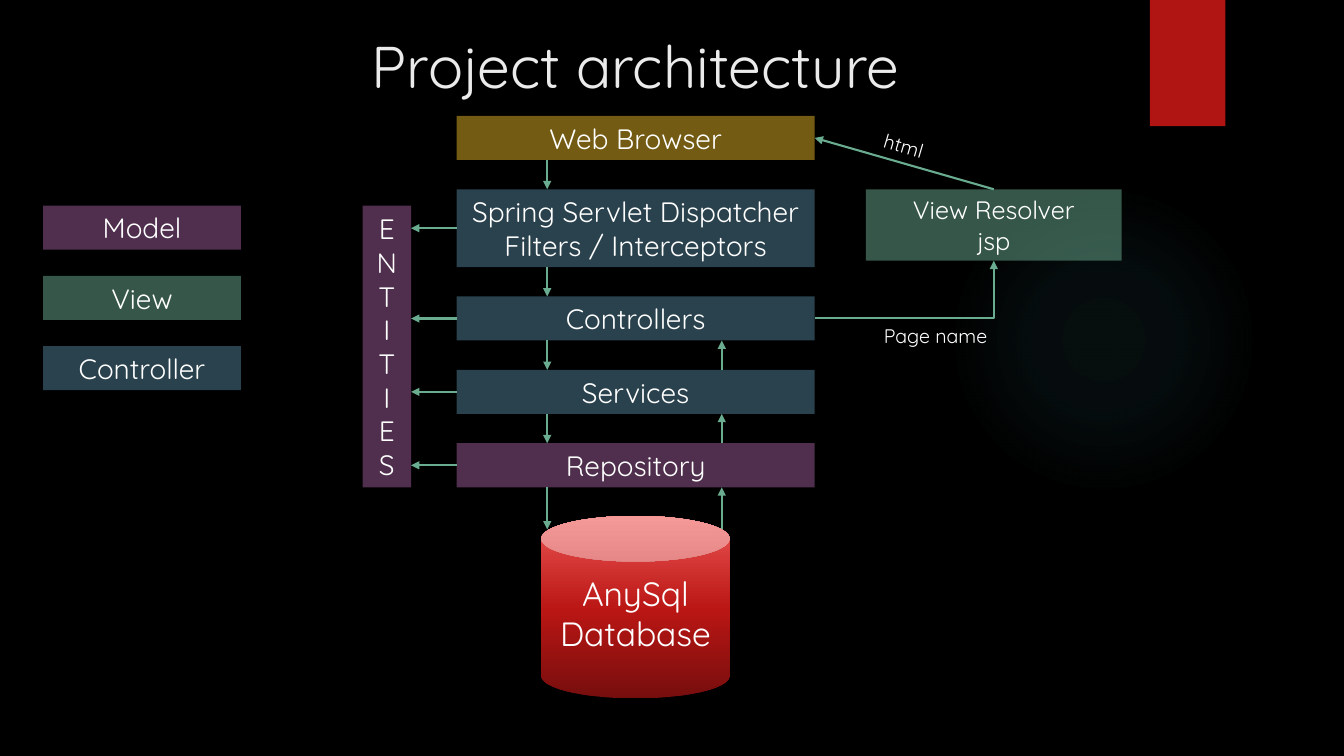
from lxml.etree import SubElement
from pptx import Presentation
from pptx.dml.color import RGBColor
from pptx.enum.shapes import MSO_CONNECTOR, MSO_SHAPE
from pptx.enum.text import MSO_ANCHOR, PP_ALIGN
from pptx.oxml import parse_xml
from pptx.oxml.ns import nsdecls, qn
from pptx.util import Cm, Pt

COLORS = {
    "background": "000000", "title": "EBEBEB", "text": "FFFFFF",
    "browser": "E6B729", "controller": "54849A", "model": "9E5E9B",
    "view": "6AAC90", "arrow": "6AAC90", "tab": "B01513", "glow": "50B9C1",
    "db_dark": "760E0D", "db_mid": "B91614", "db_light": "ED5654",
}
ROW_HEIGHT = 1.11
ROW_GAP = 0.74
LAYERS = [
    ("Web Browser", "browser", ROW_HEIGHT),
    ("Spring Servlet Dispatcher\vFilters / Interceptors", "controller", 1.96),
    ("Controllers", "controller", ROW_HEIGHT),
    ("Services", "controller", ROW_HEIGHT),
    ("Repository", "model", ROW_HEIGHT),
]
TOP, LEFT, BOTTOM, RIGHT = range(4)


def rgb(name):
    """Return the named colour."""
    return RGBColor.from_string(COLORS[name])


def write(shape, text, size=20, color="text"):
    """Set centred text on a shape."""
    frame = shape.text_frame
    frame.word_wrap = True
    frame.vertical_anchor = MSO_ANCHOR.MIDDLE
    frame.text = text
    for paragraph in frame.paragraphs:
        paragraph.alignment = PP_ALIGN.CENTER
        for run in paragraph.runs:
            run.font.name = "Quicksand"
            run.font.size = Pt(size)
            run.font.color.rgb = rgb(color)


def add_label(slide, box, text, rotation=0, **text_format):
    """Add free text in a box."""
    label = slide.shapes.add_textbox(*map(Cm, box))
    label.rotation = rotation
    write(label, text, **text_format)


def add_plain(slide, kind, box):
    """Add a shape without outline or shadow."""
    shape = slide.shapes.add_shape(kind, *map(Cm, box))
    shape.shadow.inherit = False
    shape.line.fill.background()
    return shape


def add_block(slide, box, text, color, **text_format):
    """Add a half-transparent labelled block."""
    block = add_plain(slide, MSO_SHAPE.RECTANGLE, box)
    block.fill.solid()
    block.fill.fore_color.rgb = rgb(color)
    tint = block.fill._xPr.find(qn("a:solidFill"))[0]
    SubElement(tint, qn("a:alpha"), val="50000")
    write(block, text, **text_format)
    return block


def fill_gradient(shape, stops, direction):
    """Fill a shape with (percent, colour, opacity) stops."""
    marks = "".join(
        f'<a:gs pos="{place * 1000}"><a:srgbClr val="{COLORS[color]}">'
        f'<a:alpha val="{opacity * 1000}"/></a:srgbClr></a:gs>'
        for place, color, opacity in stops)
    gradient = parse_xml(
        f'<a:gradFill {nsdecls("a")} rotWithShape="1"><a:gsLst>{marks}</a:gsLst>'
        f'{direction}</a:gradFill>')
    shape._element.spPr.find(qn("a:prstGeom")).addnext(gradient)


def add_arrow(slide, start, end, kind=MSO_CONNECTOR.STRAIGHT):
    """Add an arrow from start to end."""
    arrow = slide.shapes.add_connector(kind, *map(Cm, (*start, *end)))
    arrow.line.color.rgb = rgb("arrow")
    arrow.line.width = Pt(1.5)
    SubElement(arrow.line._get_or_add_ln(), qn("a:tailEnd"), type="triangle")
    SubElement(arrow._element.spPr, qn("a:effectLst"))
    return arrow


def add_backdrop(slide):
    """Draw the background, the glow, the corner tab and the title."""
    slide.background.fill.solid()
    slide.background.fill.fore_color.rgb = rgb("background")
    glow = add_plain(slide, MSO_SHAPE.OVAL, (23.9, 4.65, 7.82, 7.82))
    fill_gradient(
        glow, [(0, "glow", 7), (36, "glow", 6), (69, "glow", 0)],
        '<a:path path="circle"><a:fillToRect l="50000" t="50000" r="50000" b="50000"/></a:path>')
    tab = add_plain(slide, MSO_SHAPE.RECTANGLE, (28.98, 0, 1.9, 3.18))
    tab.fill.solid()
    tab.fill.fore_color.rgb = rgb("tab")
    add_label(slide, (3.76, 0.56, 24.51, 2.18), "Project architecture", size=42, color="title")


def add_legend(slide, left, top, width):
    """Draw the colour key of the three roles."""
    for index, role in enumerate(("Model", "View", "Controller")):
        box = (left, top + index * 1.77, width, ROW_HEIGHT)
        add_block(slide, box, role, role.lower())


def add_database(slide, left, top, width, height):
    """Draw the database cylinder with its label."""
    cylinder = add_plain(slide, MSO_SHAPE.CAN, (left, top, width, height))
    fill_gradient(
        cylinder, [(0, "db_dark", 100), (48, "db_mid", 100), (100, "db_light", 100)],
        '<a:lin ang="16200000" scaled="0"/>')
    add_label(slide, (left - 0.05, top + 1.3, width + 0.1, 2.31), "AnySql\nDatabase", size=24)


def add_stack(slide, left, top, width):
    """Draw the layers, entities and database with arrows; return the layers."""
    blocks, spans = [], []
    for text, color, height in LAYERS:
        blocks.append(add_block(slide, (left, top, width, height), text, color))
        spans.append((top, top + height))
        top += height + ROW_GAP
    bottom = spans[-1][1]
    entities_left, entities_top, entities_width = left - 2.37, spans[1][0] + 0.41, 1.22
    add_block(slide, (entities_left, entities_top, entities_width, bottom - entities_top),
              "\n".join("ENTITIES"), "model")
    add_database(slide, left + 2.13, bottom + 0.72, 4.75, 4.6)

    next_tops = [start for start, _ in spans[1:]] + [bottom + 1.06]
    down, up = left + 2.28, left + 6.68
    for index, ((start, end), next_top) in enumerate(zip(spans, next_tops)):
        add_arrow(slide, (down, end), (down, next_top))
        if index >= 2:
            add_arrow(slide, (up, next_top), (up, end))
        if index >= 1:
            middle = (start + end) / 2
            add_arrow(slide, (left, middle), (entities_left + entities_width, middle))
    return blocks


def add_view_resolver(slide, left, top, width, height, browser, controllers):
    """Draw the view resolver and its links to the layers."""
    resolver = add_block(slide, (left, top, width, height), "View Resolver\njsp", "view", size=18)
    corner = (left, top)
    page_link = add_arrow(slide, corner, corner, MSO_CONNECTOR.ELBOW)
    page_link._element.spPr.find(qn("a:prstGeom")).set("prst", "bentConnector2")
    page_link.begin_connect(controllers, RIGHT)
    page_link.end_connect(resolver, BOTTOM)
    html_link = add_arrow(slide, corner, corner)
    html_link.begin_connect(resolver, TOP)
    html_link.end_connect(browser, RIGHT)
    add_label(slide, (left + 0.07, top + 3.26, 3.38, 0.86), "Page name", size=14)
    add_label(slide, (left - 0.26, top - 1.52, 2.44, 0.86), "html", rotation=16.5, size=14)


def main():
    """Build and save the slide."""
    deck = Presentation()
    deck.slide_width, deck.slide_height = Cm(33.87), Cm(19.05)
    slide = deck.slides.add_slide(deck.slide_layouts[6])
    add_backdrop(slide)
    browser, _, controllers, *_ = add_stack(slide, 11.51, 2.92, 9.02)
    add_view_resolver(slide, 21.82, 4.77, 6.45, 1.8, browser, controllers)
    add_legend(slide, 1.09, 5.18, 4.98)
    deck.save("out.pptx")


if __name__ == "__main__":
    main()
